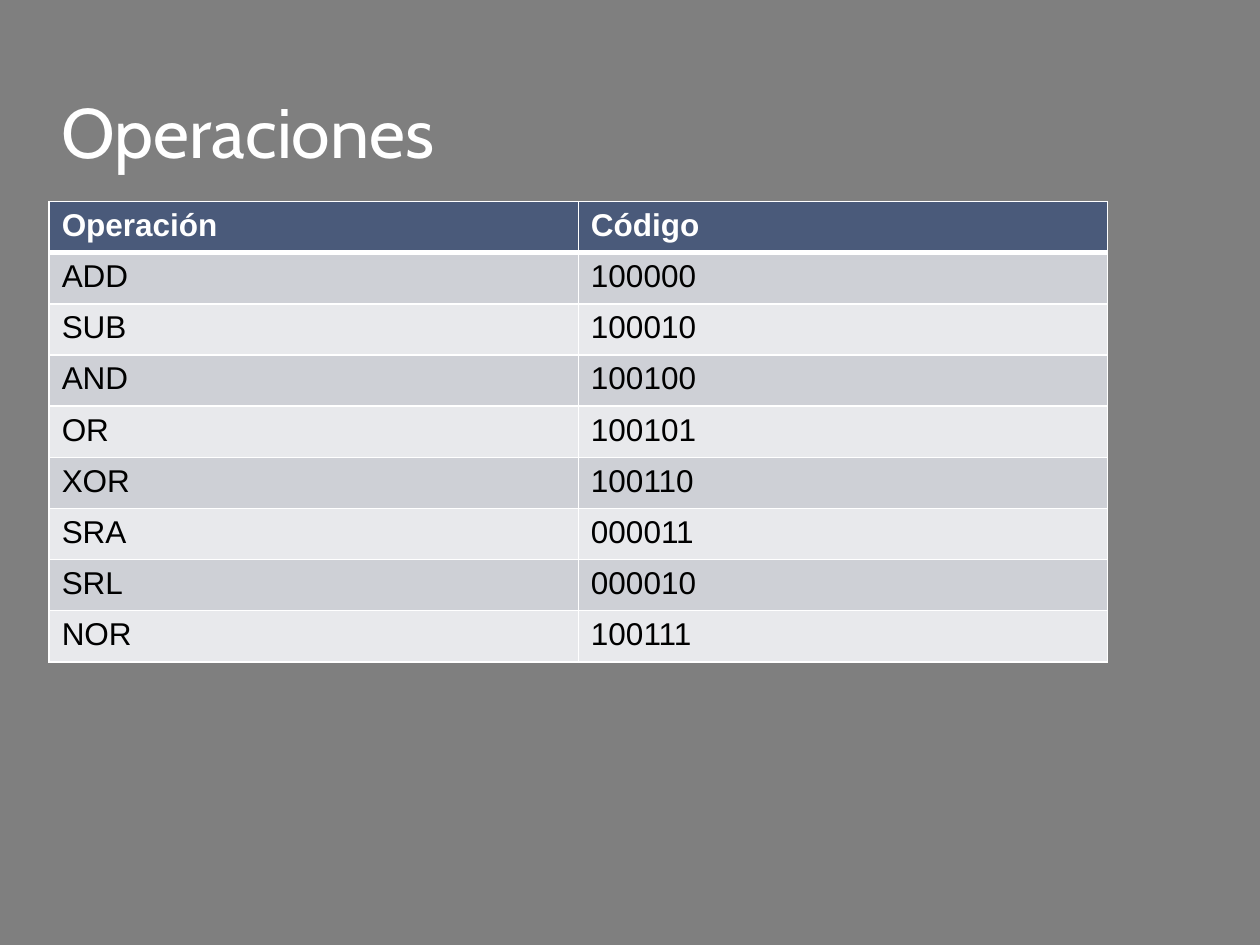
from dataclasses import dataclass

from lxml import etree
from pptx import Presentation
from pptx.dml.color import RGBColor
from pptx.enum.text import MSO_ANCHOR, MSO_AUTO_SIZE, PP_ALIGN
from pptx.oxml.ns import qn
from pptx.util import Inches, Pt

LEFT = PP_ALIGN.LEFT
BOTTOM = MSO_ANCHOR.BOTTOM
NO_AUTOFIT = MSO_AUTO_SIZE.NONE


@dataclass(frozen=True)
class Theme:
    background: str = "7F7F7F"
    light: str = "FFFFFF"
    dark: str = "000000"
    header: str = "4A5A7A"
    bands: tuple = ("E8E9EC", "CED0D6")
    title_font: str = "Cabin"
    table_font: str = "Arial"
    title_size: int = 40
    table_size: int = 18
    border: int = 1
    header_border: int = 3


theme = Theme()


def add_border(cell, side, width):
    line = etree.SubElement(cell._tc.get_or_add_tcPr(), qn(f"a:ln{side}"), w=str(Pt(width)))
    fill = etree.SubElement(line, qn("a:solidFill"))
    etree.SubElement(fill, qn("a:srgbClr"), val=theme.light)


def style_font(font, name, size, color):
    font.name = name
    font.size = Pt(size)
    font.color.rgb = RGBColor.from_string(color)


operations = [
    ("Operación", "Código"),
    ("ADD", "100000"),
    ("SUB", "100010"),
    ("AND", "100100"),
    ("OR", "100101"),
    ("XOR", "100110"),
    ("SRA", "000011"),
    ("SRL", "000010"),
    ("NOR", "100111"),
]

presentation = Presentation()
presentation.slide_width = Inches(10)
presentation.slide_height = Inches(7.5)
slide = presentation.slides.add_slide(presentation.slide_layouts[5])
slide.background.fill.solid()
slide.background.fill.fore_color.rgb = RGBColor.from_string(theme.background)

left, width = Inches(0.39), Inches(8.4)
row_height = Inches(0.406)

heading = slide.shapes.title
heading.left, heading.top = left, Inches(0.25)
heading.width, heading.height = width, Inches(1.17)
heading.text_frame.text = "Operaciones"
heading.text_frame.auto_size = NO_AUTOFIT
heading.text_frame.vertical_anchor = BOTTOM
heading_line = heading.text_frame.paragraphs[0]
heading_line.alignment = LEFT
style_font(heading_line.font, theme.title_font, theme.title_size, theme.light)

codes = slide.shapes.add_table(
    len(operations), 2, left, Inches(1.6), width, row_height * len(operations)
).table

for row, values in enumerate(operations):
    codes.rows[row].height = row_height
    is_header = row == 0
    border_widths = {
        "L": theme.border,
        "R": theme.border,
        "T": theme.header_border if row == 1 else theme.border,
        "B": theme.header_border if is_header else theme.border,
    }
    for column, value in enumerate(values):
        cell = codes.cell(row, column)
        for side, border_width in border_widths.items():
            add_border(cell, side, border_width)
        cell.fill.solid()
        cell.fill.fore_color.rgb = RGBColor.from_string(
            theme.header if is_header else theme.bands[row % 2]
        )
        cell.text = value
        font = cell.text_frame.paragraphs[0].font
        style_font(font, theme.table_font, theme.table_size, theme.light if is_header else theme.dark)
        font.bold = is_header

presentation.save("out.pptx")
